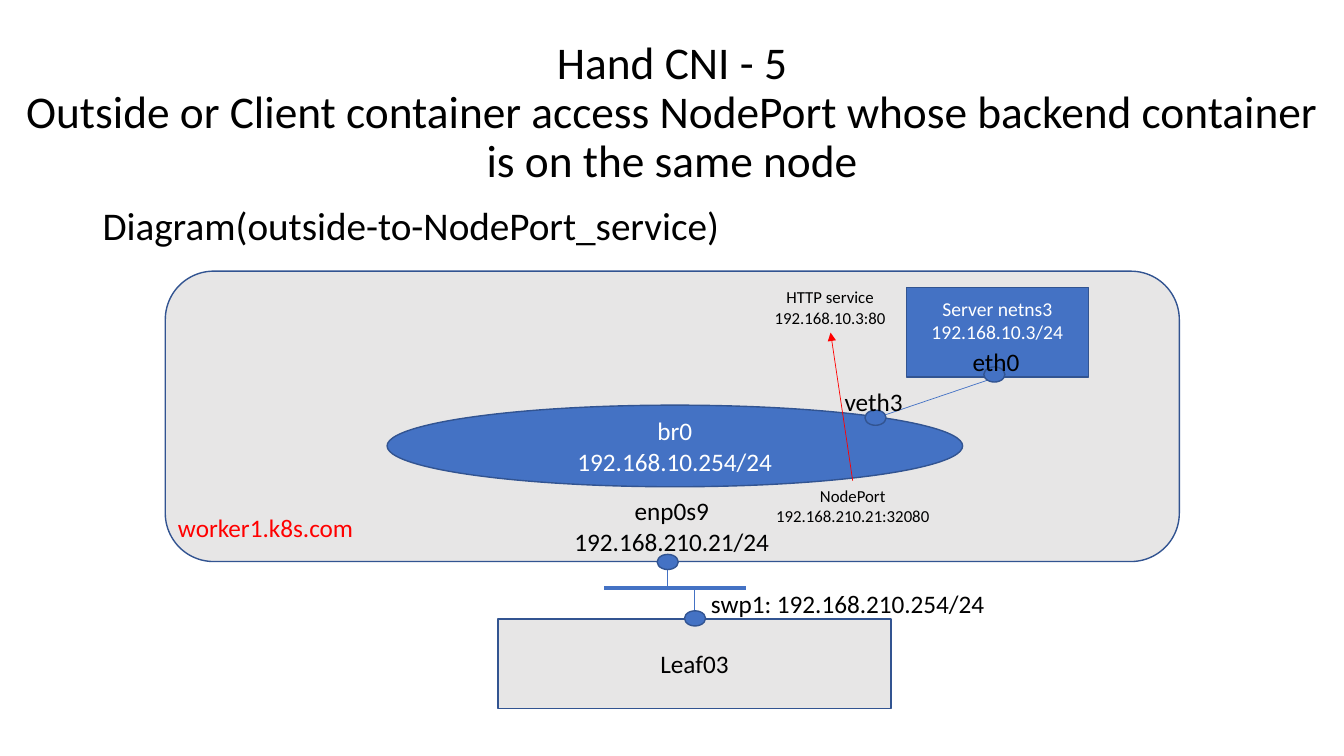
"""Build the NodePort access diagram slide."""
from dataclasses import dataclass

from lxml.etree import SubElement
from pptx import Presentation
from pptx.dml.color import RGBColor
from pptx.enum.shapes import MSO_CONNECTOR, MSO_SHAPE as SHAPE
from pptx.enum.text import MSO_ANCHOR as ANCHOR, PP_ALIGN as ALIGN
from pptx.oxml.ns import qn
from pptx.slide import Slide
from pptx.text.text import TextFrame
from pptx.util import Pt

BLACK = RGBColor(0x00, 0x00, 0x00)
WHITE = RGBColor(0xFF, 0xFF, 0xFF)
RED = RGBColor(0xFF, 0x00, 0x00)
BLUE = RGBColor(0x44, 0x72, 0xC4)
OUTLINE = RGBColor(0x32, 0x54, 0x91)
GREY = RGBColor(0xE7, 0xE6, 0xE6)
FONT = "Calibri"
DOT_W, DOT_H = 15.12, 10.8


@dataclass
class Text:
    lines: tuple[str, ...]
    size: float = 18
    color: RGBColor = BLACK
    align: ALIGN = ALIGN.CENTER
    anchor: ANCHOR = ANCHOR.TOP
    spacing: float = 1.0
    bottom_inset: float = 3.6


@dataclass
class Node:
    kind: SHAPE
    left: float
    top: float
    width: float
    height: float
    fill: RGBColor = BLUE
    text: Text | None = None


@dataclass
class Label:
    left: float
    top: float
    width: float
    height: float
    text: Text


@dataclass
class Link:
    x1: float
    y1: float
    x2: float
    y2: float
    color: RGBColor = BLUE
    weight: float = 0.5
    arrow: bool = False


NODES = [
    Node(SHAPE.ROUNDED_RECTANGLE, 118.1, 193.7, 724.3, 207.4, GREY),
    Node(SHAPE.OVAL, 276.5, 289.4, 411.1, 58.3,
         text=Text(("br0", "192.168.10.254/24"), color=WHITE, anchor=ANCHOR.MIDDLE)),
    Node(SHAPE.RECTANGLE, 355.7, 442.1, 280.8, 64.1, GREY,
         Text(("Leaf03",), anchor=ANCHOR.MIDDLE)),
    Node(SHAPE.RECTANGLE, 647.3, 205.2, 130.3, 64.1,
         text=Text(("Server netns3", "192.168.10.3/24"), 14, WHITE,
                   anchor=ANCHOR.MIDDLE, bottom_inset=20.7)),
]
LINKS = [
    Link(476.6, 407.5, 476.6, 419.8),
    Link(532.8, 419.8, 431.3, 419.8, weight=3),
    Link(496.1, 419.8, 496.1, 436.3),
    Link(712.1, 269.3, 627.1, 298.1),
]
PORTS = [(469.4, 396), (488.9, 436.3), (702.7, 262.1), (617.8, 293)]
LABELS = [
    Label(0, 28.8, 960, 104.4,
          Text(("Hand CNI - 5\vOutside or Client container access NodePort "
                "whose backend container is on the same node",),
               32.4, anchor=ANCHOR.MIDDLE, spacing=0.9)),
    Label(66.2, 144, 828, 36,
          Text(("Diagram(outside-to-NodePort_service)",), 28,
               align=ALIGN.LEFT, spacing=0.9)),
    Label(402.5, 350.6, 154.8, 51.1, Text(("enp0s9", "192.168.210.21/24"))),
    Label(112.3, 362.2, 154.8, 28.8, Text(("worker1.k8s.com",), color=RED)),
    Label(546.5, 343.4, 125.3, 36, Text(("NodePort", "192.168.210.21:32080"), 12)),
    Label(687.6, 244.1, 49.7, 20.9, Text(("eth0",), align=ALIGN.LEFT)),
    Label(596.2, 272.2, 65.5, 28.8, Text(("veth3",), align=ALIGN.LEFT)),
    Label(539.3, 201.6, 107.3, 36, Text(("HTTP service", "192.168.10.3:80"), 12)),
    Label(495.4, 416.9, 220.3, 28.8, Text(("swp1: 192.168.210.254/24",))),
]
SERVICE_ARROW = Link(609.1, 343.4, 593.3, 237.6, RED, arrow=True)


def write_text(tf: TextFrame, text: Text) -> None:
    """Fill a text frame with evenly formatted paragraphs."""
    tf.word_wrap = True
    tf.vertical_anchor = text.anchor
    tf.margin_bottom = Pt(text.bottom_inset)
    for i, line in enumerate(text.lines):
        p = tf.add_paragraph() if i else tf.paragraphs[0]
        p.text = line
        p.alignment = text.align
        p.line_spacing = text.spacing
        p.font.name = FONT
        p.font.size = Pt(text.size)
        p.font.color.rgb = text.color


def add_node(s: Slide, node: Node) -> None:
    """Draw a filled, outlined shape with optional text."""
    sp = s.shapes.add_shape(node.kind, Pt(node.left), Pt(node.top),
                            Pt(node.width), Pt(node.height))
    sp.shadow.inherit = False
    sp.fill.solid()
    sp.fill.fore_color.rgb = node.fill
    sp.line.color.rgb = OUTLINE
    sp.line.width = Pt(1)
    if node.text:
        write_text(sp.text_frame, node.text)


def add_label(s: Slide, label: Label) -> None:
    """Draw a free-standing text box."""
    box = s.shapes.add_textbox(Pt(label.left), Pt(label.top),
                               Pt(label.width), Pt(label.height))
    write_text(box.text_frame, label.text)


def add_link(s: Slide, link: Link) -> None:
    """Draw a straight connector, with an arrowhead if asked."""
    cxn = s.shapes.add_connector(MSO_CONNECTOR.STRAIGHT, Pt(link.x1), Pt(link.y1),
                                 Pt(link.x2), Pt(link.y2))
    cxn.line.color.rgb = link.color
    cxn.line.width = Pt(link.weight)
    if link.arrow:
        SubElement(cxn.line._get_or_add_ln(), qn("a:tailEnd"), type="triangle")
    SubElement(cxn._element.spPr, qn("a:effectLst"))


def main() -> None:
    """Assemble the slide and save it."""
    prs = Presentation()
    prs.slide_width, prs.slide_height = Pt(960), Pt(540)
    s = prs.slides.add_slide(prs.slide_layouts[6])
    for node in NODES:
        add_node(s, node)
    for link in LINKS:
        add_link(s, link)
    for left, top in PORTS:
        add_node(s, Node(SHAPE.OVAL, left, top, DOT_W, DOT_H))
    for label in LABELS:
        add_label(s, label)
    add_link(s, SERVICE_ARROW)
    prs.save("out.pptx")


if __name__ == "__main__":
    main()
